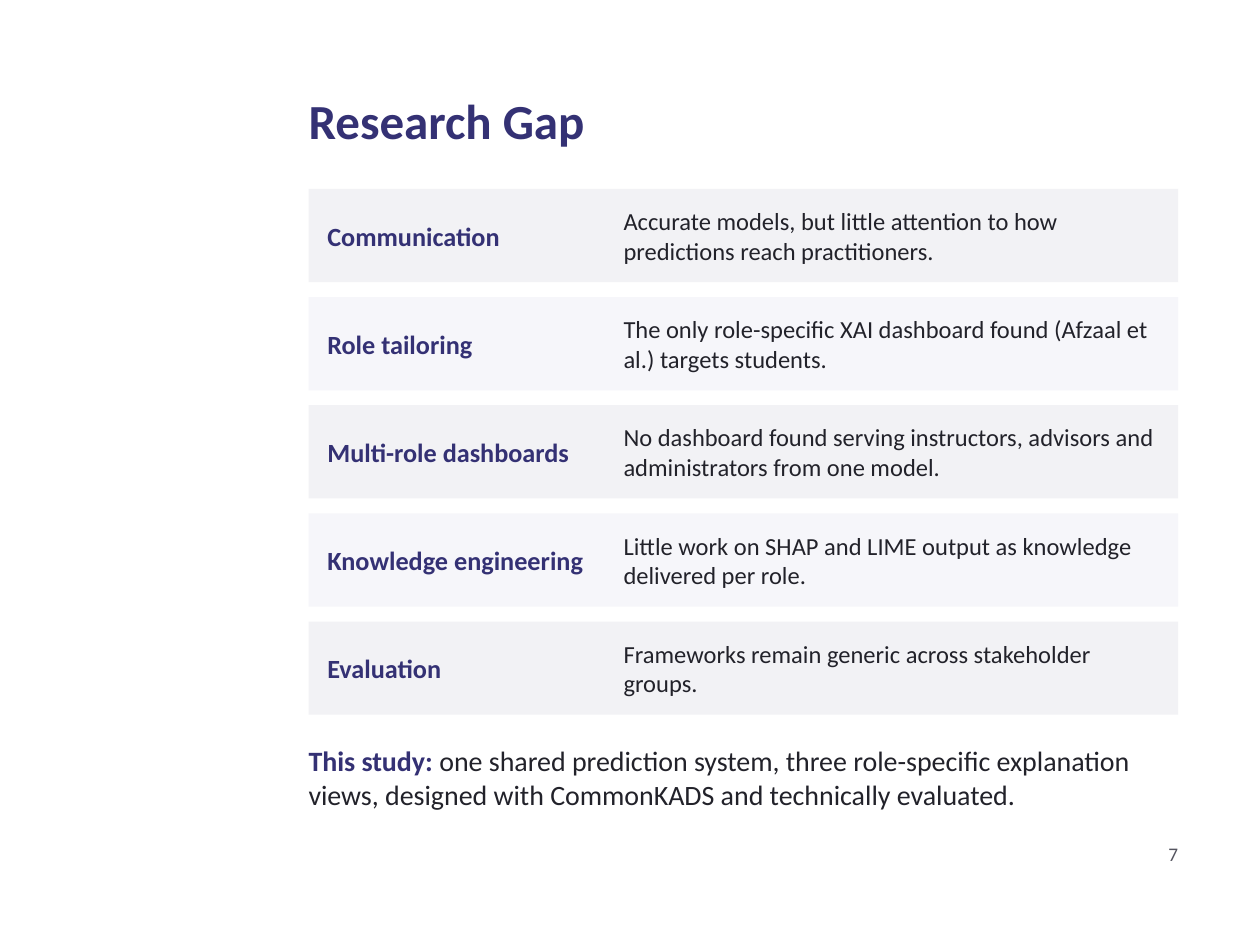
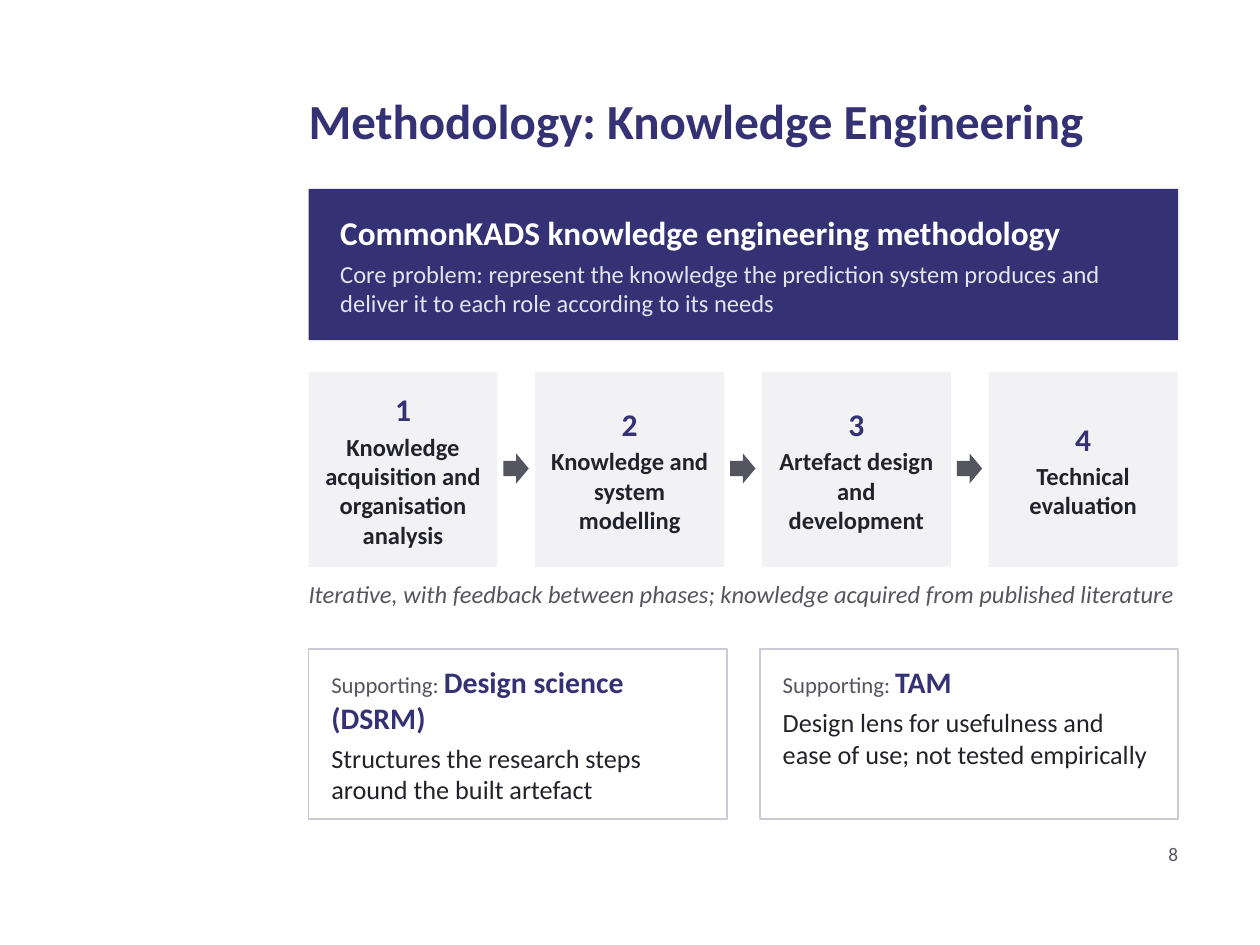
from pptx import Presentation, util as u
from pptx.dml.color import RGBColor
from pptx.enum import shapes, text

FONT = "Calibri"
INDIGO, INK, GREY = "343174", "22222A", "555560"
PANEL, PANEL_ALT, BORDER, WHITE, LILAC = "F2F2F5", "F6F6FA", "C9CAD3", "FFFFFF", "E4E3F2"
LEFT, WIDTH, TOP = 6.22, 17.53, 3.81
RIGHT = LEFT + WIDTH
ALIGN, ANCHOR = text.PP_ALIGN, text.MSO_ANCHOR


def rgb(value):
    """Turn a hex string into a colour."""
    return RGBColor.from_string(value)


def cm(*lengths):
    """Turn numbers into centimetre lengths."""
    return [u.Cm(n) for n in lengths]


def write(p, words, size=14, color=INK, bold=False, italic=False):
    """Add one formatted run to a paragraph."""
    r = p.add_run()
    r.text = words
    f = r.font
    f.name, f.size, f.bold, f.italic = FONT, u.Pt(size), bold, italic
    f.color.rgb = rgb(color)


def run(words, **fmt):
    """Pair a run's words with its format."""
    return words, fmt


class Deck:
    """Holds the shared style and the current slide."""

    def __init__(self):
        """Start an empty 4:3 presentation."""
        self.prs = Presentation()
        self.prs.slide_width, self.prs.slide_height = cm(25.4, 19.05)

    def slide(self, title, number):
        """Add a slide with its title and page number."""
        self.s = self.prs.slides.add_slide(self.prs.slide_layouts[5])
        sp = self.s.shapes.title
        sp.left, sp.top, sp.width, sp.height = cm(LEFT, 1.4, WIDTH, 2.03)
        tf = sp.text_frame
        tf.margin_left = tf.margin_right = 0
        tf.vertical_anchor = ANCHOR.MIDDLE
        tf.auto_size = text.MSO_AUTO_SIZE.NONE
        tf.paragraphs[0].alignment = ALIGN.LEFT
        write(tf.paragraphs[0], title, size=28, color=INDIGO, bold=True)
        self.text(RIGHT - 1.52, 16.97, 1.52, 0.71, [run(str(number), size=11, color=GREY)],
                  align=ALIGN.RIGHT)

    def shape(self, x, y, w, h, fill, line=None, kind=shapes.MSO_SHAPE.RECTANGLE):
        """Add a flat filled shape."""
        sp = self.s.shapes.add_shape(kind, *cm(x, y, w, h))
        sp.shadow.inherit = False
        sp.fill.solid()
        sp.fill.fore_color.rgb = rgb(fill)
        if line:
            sp.line.color.rgb = rgb(line)
            sp.line.width = u.Pt(1)
        else:
            sp.line.fill.background()

    def text(self, x, y, w, h, *paragraphs, anchor=ANCHOR.TOP, align=ALIGN.LEFT, after=6):
        """Add a text box whose paragraphs are lists of runs."""
        tf = self.s.shapes.add_textbox(*cm(x, y, w, h)).text_frame
        tf.word_wrap = True
        tf.auto_size = text.MSO_AUTO_SIZE.SHAPE_TO_FIT_TEXT
        tf.vertical_anchor = anchor
        tf.margin_left = tf.margin_right = tf.margin_top = tf.margin_bottom = 0
        for i, runs in enumerate(paragraphs):
            p = tf.add_paragraph() if i else tf.paragraphs[0]
            p.alignment, p.space_after = align, u.Pt(after)
            for words, fmt in runs:
                write(p, words, **fmt)

    def gap_row(self, y, fill, label, finding):
        """Add a band with a label and a finding."""
        h = 1.88
        self.shape(LEFT, y, WIDTH, h, fill)
        self.text(LEFT + 0.38, y, 5.84, h, [run(label, size=15, color=INDIGO, bold=True)],
                  anchor=ANCHOR.MIDDLE)
        self.text(LEFT + 6.35, y, 10.8, h, [run(finding)], anchor=ANCHOR.MIDDLE)

    def phase(self, x, number, name):
        """Add a numbered phase card."""
        y, w, h = 7.49, 3.81, 3.94
        self.shape(x, y, w, h, PANEL)
        self.text(x + 0.15, y + 0.2, w - 0.3, 3.56,
                  [run(str(number), size=18, color=INDIGO, bold=True)], [run(name, bold=True)],
                  anchor=ANCHOR.MIDDLE, align=ALIGN.CENTER, after=2)

    def support(self, x, w, name, purpose):
        """Add an outlined card for a supporting method."""
        y = 13.08
        self.shape(x, y, w, 3.43, WHITE, line=BORDER)
        self.text(x + 0.46, y + 0.3, w - 0.92, 2.92,
                  [run("Supporting: ", size=13, color=GREY),
                   run(name, size=17, color=INDIGO, bold=True)],
                  [run(purpose, size=15)], after=4)


def research_gap(deck):
    """Build the research gap slide."""
    deck.slide("Research Gap", 7)
    gaps = [
        ("Communication",
         "Accurate models, but little attention to how predictions reach practitioners."),
        ("Role tailoring",
         "The only role-specific XAI dashboard found (Afzaal et al.) targets students."),
        ("Multi-role dashboards",
         "No dashboard found serving instructors, advisors and administrators from one model."),
        ("Knowledge engineering",
         "Little work on SHAP and LIME output as knowledge delivered per role."),
        ("Evaluation", "Frameworks remain generic across stakeholder groups."),
    ]
    for i, (label, finding) in enumerate(gaps):
        deck.gap_row(TOP + i * 2.18, PANEL_ALT if i % 2 else PANEL, label, finding)
    deck.text(LEFT, 14.99, WIDTH, 1.9,
              [run("This study: ", size=16, color=INDIGO, bold=True),
               run("one shared prediction system, three role-specific explanation views, "
                   "designed with CommonKADS and technically evaluated.", size=16)])


def methodology(deck):
    """Build the methodology slide."""
    deck.slide("Methodology: Knowledge Engineering", 8)
    deck.shape(LEFT, TOP, WIDTH, 3.05, INDIGO)
    deck.text(LEFT + 0.64, TOP + 0.13, 16.26, 2.79,
              [run("CommonKADS knowledge engineering methodology",
                   size=19, color=WHITE, bold=True)],
              [run("Core problem: represent the knowledge the prediction system produces and "
                   "deliver it to each role according to its needs", color=LILAC)],
              anchor=ANCHOR.MIDDLE, after=4)
    phases = ["Knowledge acquisition and organisation analysis", "Knowledge and system modelling",
              "Artefact design and development", "Technical evaluation"]
    for i, name in enumerate(phases):
        x = LEFT + i * 4.57
        if i:
            deck.shape(x - 0.64, 9.14, 0.51, 0.61, GREY, kind=shapes.MSO_SHAPE.RIGHT_ARROW)
        deck.phase(x, i + 1, name)
    deck.text(LEFT, 11.68, WIDTH, 1.02,
              [run("Iterative, with feedback between phases; knowledge acquired from "
                   "published literature", color=GREY, italic=True)])
    w = 8.43
    deck.support(LEFT, w, "Design science (DSRM)",
                 "Structures the research steps around the built artefact")
    deck.support(RIGHT - w, w, "TAM",
                 "Design lens for usefulness and ease of use; not tested empirically")


def main():
    """Build and save both slides."""
    deck = Deck()
    research_gap(deck)
    methodology(deck)
    deck.prs.save("out.pptx")


if __name__ == "__main__":
    main()
